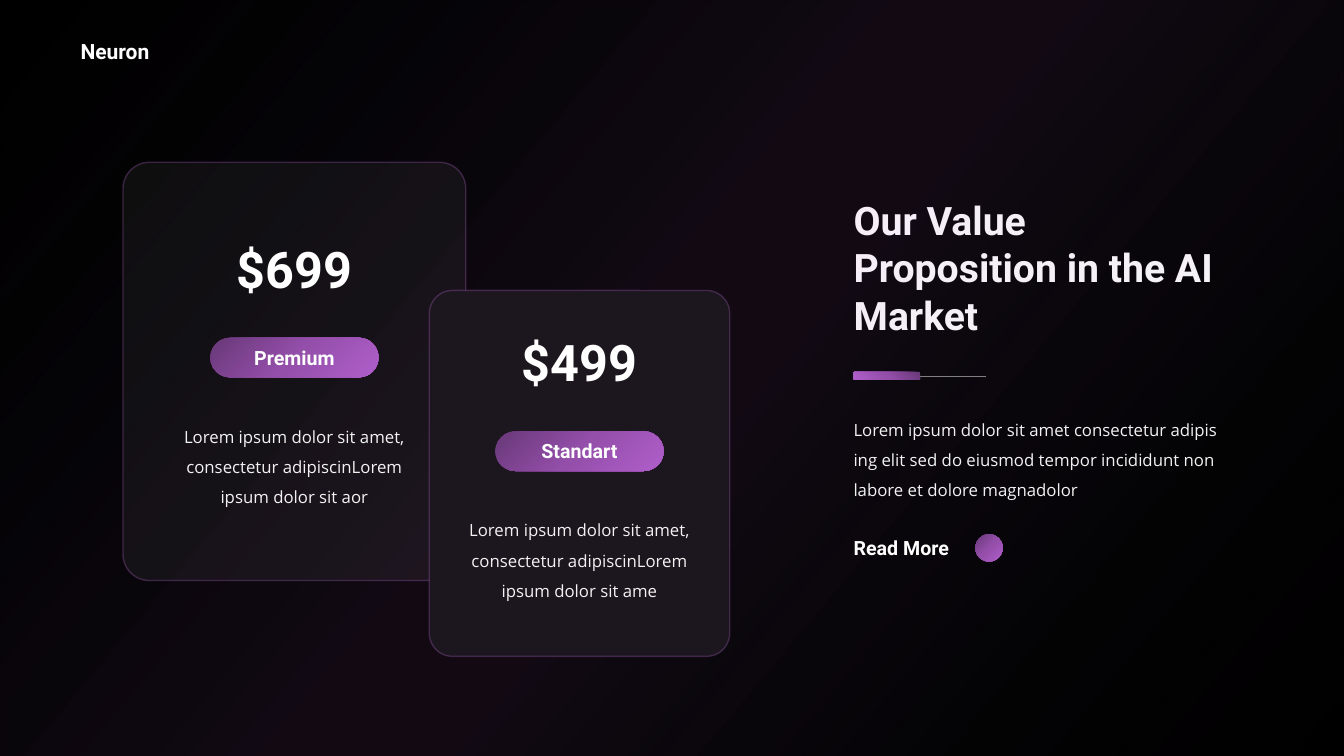
from lxml import etree
from pptx import Presentation
from pptx.dml.color import RGBColor
from pptx.enum.shapes import MSO_CONNECTOR, MSO_SHAPE
from pptx.enum.text import MSO_ANCHOR, MSO_AUTO_SIZE, PP_ALIGN
from pptx.oxml import parse_xml
from pptx.oxml.ns import nsdecls, qn
from pptx.util import Cm, Pt

RECT, ROUND, OVAL = MSO_SHAPE.RECTANGLE, MSO_SHAPE.ROUNDED_RECTANGLE, MSO_SHAPE.OVAL
STRAIGHT = MSO_CONNECTOR.STRAIGHT
LEFT, CENTER = PP_ALIGN.LEFT, PP_ALIGN.CENTER
TOP, MIDDLE = MSO_ANCHOR.TOP, MSO_ANCHOR.MIDDLE

BLACK = RGBColor(0x00, 0x00, 0x00)
WHITE = RGBColor(0xFF, 0xFF, 0xFF)
BODY = RGBColor(0xF2, 0xF2, 0xF2)
GRAY = RGBColor(0x80, 0x80, 0x80)
CARD = RGBColor(0x1C, 0x16, 0x1E)
INDIGO = RGBColor(0x38, 0x1F, 0x5F)
NAVY = RGBColor(0x1F, 0x22, 0x32)
VIOLET = RGBColor(0xAC, 0x65, 0xC3)
PLUM = RGBColor(0x68, 0x38, 0x78)
ORCHID = RGBColor(0x94, 0x4F, 0xAA)
BRIGHT = RGBColor(0xB0, 0x5E, 0xCA)

# Gradient stops: position %, colour, opacity %
GLOW = [(2, INDIGO, 0), (45, VIOLET, 10), (55, VIOLET, 10), (100, NAVY, 0)]
PURPLE = [(0, PLUM, 100), (50, ORCHID, 100), (100, BRIGHT, 100)]


def add_gradient_shape(kind, left, top, width, height, stops=PURPLE, angle=45):
    """Add a borderless shape; the angle runs clockwise in degrees."""
    sp = s.shapes.add_shape(kind, Cm(left), Cm(top), Cm(width), Cm(height))
    sp.shadow.inherit = False
    sp.line.fill.background()
    gs = "".join(
        f'<a:gs pos="{pos * 1000}"><a:srgbClr val="{color}">'
        f'<a:alpha val="{alpha * 1000}"/></a:srgbClr></a:gs>'
        for pos, color, alpha in stops)
    sp._element.spPr.find(qn("a:prstGeom")).addnext(parse_xml(
        f'<a:gradFill {nsdecls("a")} rotWithShape="1"><a:gsLst>{gs}</a:gsLst>'
        f'<a:lin ang="{angle * 60000}" scaled="0"/></a:gradFill>'))
    return sp


def write(sp, text, size, align=LEFT, anchor=TOP, body=False):
    """Fill a shape with bold heading text, or with spaced body text."""
    tf = sp.text_frame
    tf.word_wrap = True
    tf.auto_size = MSO_AUTO_SIZE.NONE
    tf.vertical_anchor = anchor
    p = tf.paragraphs[0]
    p.text = text
    p.alignment = align
    p.line_spacing = 1.5 if body else 1.0
    p.font.size = Pt(size)
    p.font.name = "Open Sans" if body else "Roboto"
    p.font.bold = not body
    p.font.color.rgb = BODY if body else WHITE


prs = Presentation()
prs.slide_width, prs.slide_height = Cm(33.87), Cm(19.05)
s = prs.slides.add_slide(prs.slide_layouts[5])
s.background.fill.solid()
s.background.fill.fore_color.rgb = BLACK

add_gradient_shape(RECT, 0, 0, 33.87, 19.05, GLOW, 40)
write(s.shapes.add_textbox(Cm(1.78), Cm(0.84), Cm(2.46), Cm(0.89)), "Neuron", 15)

# Price cards: box, fill, fill opacity %, top of the price, texts
CARDS = [
    ((3.1, 4.09, 8.64, 10.54), WHITE, 5, 5.87, "$699", "Premium",
     "Lorem ipsum dolor sit amet, consectetur adipiscinLorem ipsum dolor sit aor"),
    ((10.82, 7.32, 7.57, 9.22), CARD, 100, 8.23, "$499", "Standart",
     "Lorem ipsum dolor sit amet, consectetur adipiscinLorem ipsum dolor sit ame"),
]
PRICE_W, PILL_W, BODY_W = 5.97, 4.24, 6.6

for box, color, opacity, top, price, plan, details in CARDS:
    card = s.shapes.add_shape(ROUND, *map(Cm, box))
    card.adjustments[0] = 0.077
    card.shadow.inherit = False
    card.fill.solid()
    card.fill.fore_color.rgb = color
    card.line.color.rgb = VIOLET
    card.line.width = Pt(1)
    # The fill colour precedes the line colour in the shape properties
    for clr, percent in zip(card._element.spPr.iter(qn("a:srgbClr")), (opacity, 30)):
        etree.SubElement(clr, qn("a:alpha")).set("val", str(percent * 1000))

    mid = box[0] + box[2] / 2
    write(s.shapes.add_textbox(Cm(mid - PRICE_W / 2), Cm(top), Cm(PRICE_W), Cm(1.8)),
          price, 36, CENTER)
    pill = add_gradient_shape(ROUND, mid - PILL_W / 2, top + 2.64, PILL_W, 1)
    pill.adjustments[0] = 0.5
    write(pill, plan, 14, CENTER, MIDDLE)
    write(s.shapes.add_textbox(Cm(mid - BODY_W / 2), Cm(top + 4.5), Cm(BODY_W), Cm(2.48)),
          details, 12, CENTER, body=True)

# Right column
COLUMN_X, COLUMN_W = 21.26, 9.75

title = s.shapes.title
title.left, title.top, title.width, title.height = map(Cm, (COLUMN_X, 4.83, COLUMN_W, 3.84))
write(title, "Our Value Proposition in the AI Market", 28)

rule = s.shapes.add_connector(STRAIGHT, Cm(23.19), Cm(9.48), Cm(24.84), Cm(9.48))
rule.line.color.rgb = GRAY
rule.line.width = Pt(0.5)
etree.SubElement(rule._element.spPr, qn("a:effectLst"))
add_gradient_shape(ROUND, 21.51, 9.37, 1.68, 0.2, angle=135)

write(s.shapes.add_textbox(Cm(COLUMN_X), Cm(10.19), Cm(COLUMN_W), Cm(2.49)),
      "Lorem ipsum dolor sit amet consectetur adipis ing elit sed do eiusmod "
      "tempor incididunt non labore et dolore magnadolor", 12, body=True)
write(s.shapes.add_textbox(Cm(COLUMN_X), Cm(13.39), Cm(3.73), Cm(0.86)), "Read More", 14)
add_gradient_shape(OVAL, 24.58, 13.46, 0.69, 0.69)

prs.save("out.pptx")
